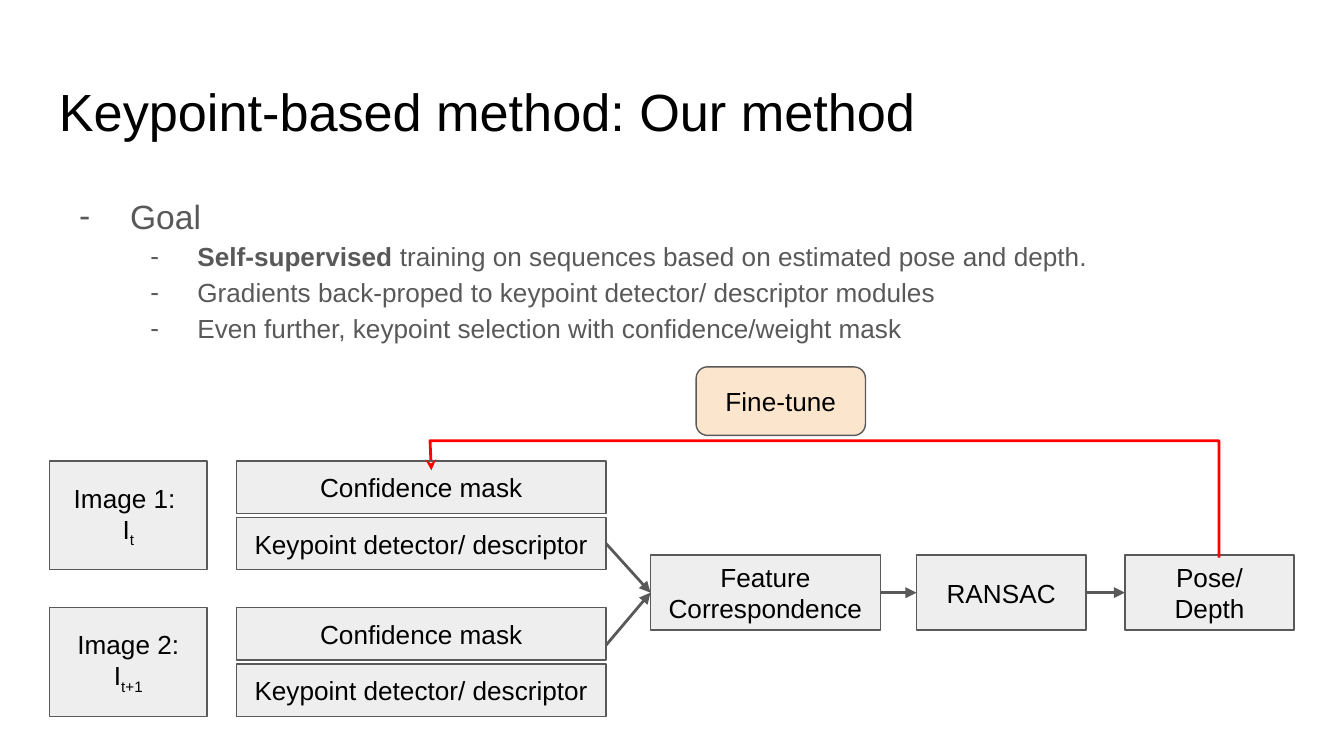
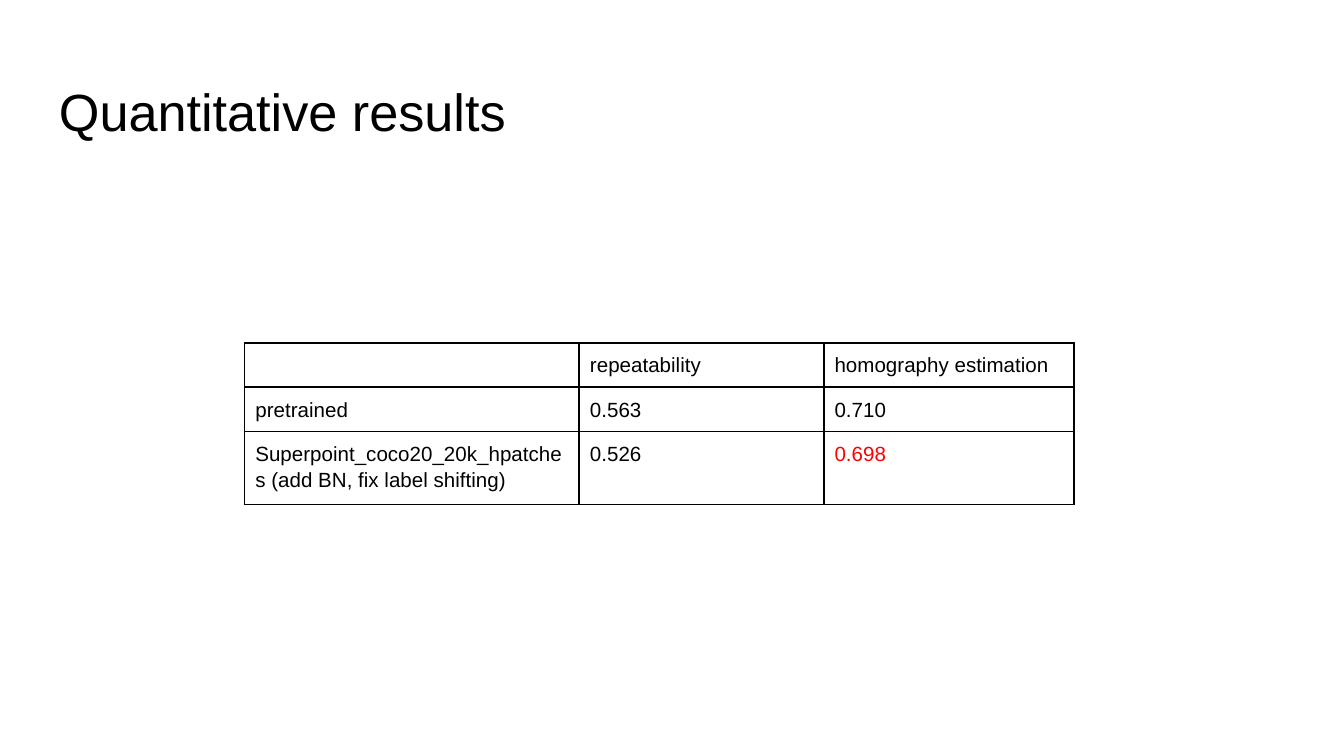
from lxml.etree import SubElement
from pptx import Presentation
from pptx.dml.color import RGBColor
from pptx.enum.shapes import MSO_CONNECTOR, MSO_SHAPE
from pptx.enum.text import MSO_ANCHOR, PP_ALIGN
from pptx.oxml.ns import qn
from pptx.util import Inches, Pt

FONT = "Arial"
BLACK = RGBColor(0x00, 0x00, 0x00)
GRAY = RGBColor(0x59, 0x59, 0x59)
PALE = RGBColor(0xEE, 0xEE, 0xEE)
PEACH = RGBColor(0xFC, 0xE5, 0xCD)
RED = RGBColor(0xFF, 0x00, 0x00)

WIDTH, HEIGHT = 10, 5.625
TOP, BOTTOM, LEFT, RIGHT = 0, 2, 1, 3  # table border order is separate

# A paragraph is plain text or a list of (text, style) spans.
METHOD_TITLE = "Keypoint-based method: Our method"
GOAL = [
    (0, "Goal"),
    (1, [("Self-supervised", "bold"),
         (" training on sequences based on estimated pose and depth.", "")]),
    (1, "Gradients back-proped to keypoint detector/ descriptor modules"),
    (1, "Even further, keypoint selection with confidence/weight mask"),
]
LEVELS = [  # size, indent, hanging
    (18, 0.5, 0.38),
    (14, 1.0, 0.35),
]
IMAGES = [
    ["Image 1: ", [("I", ""), ("t", "sub")]],
    [[("Image 2: I", ""), ("t+1", "sub")]],
]
MODULES = ["Confidence mask", "Keypoint detector/ descriptor"]
CHAIN = [  # text, left, width
    ("Feature Correspondence", 4.84, 1.71),
    ("RANSAC", 6.82, 1.26),
    ("Pose/ Depth", 8.37, 1.26),
]

RESULTS_TITLE = "Quantitative results"
RESULTS = [
    ["", "repeatability", "homography estimation"],
    ["pretrained", "0.563", "0.710"],
    ["Superpoint_coco20_20k_hpatches (add BN, fix label shifting)",
     "0.526", "0.698"],
]
HIGHLIGHT = (2, 2)
COLUMN_WIDTHS = [2.49, 1.82, 1.86]
ROW_HEIGHTS = [0.33, 0.33, 0.54]

IMAGE_LEFT, IMAGE_WIDTH, IMAGE_HEIGHT = 0.37, 1.17, 0.81
IMAGE_TOP, IMAGE_PITCH = 3.43, 1.09
MODULE_LEFT, MODULE_WIDTH, MODULE_HEIGHT = 1.76, 2.75, 0.39
MODULE_PITCH = IMAGE_HEIGHT - MODULE_HEIGHT
CHAIN_TOP, CHAIN_HEIGHT = 4.13, 0.56


def write(para, content, size=14, color=BLACK, align=None, spacing=None):
    spans = [(content, "")] if isinstance(content, str) else content
    para.alignment = align
    para.line_spacing = spacing
    for text, style in spans:
        if not text:
            para._p.get_or_add_endParaRPr().set("sz", str(size * 100))
            continue
        span = para.add_run()
        span.text = text
        font = span.font
        font.name, font.size, font.color.rgb = FONT, Pt(size), color
        if style == "bold":
            font.bold = True
        elif style == "sub":
            font._element.set("baseline", "-25000")


def set_margins(frame, across=0.1, down=0.1):
    frame.margin_left = frame.margin_right = Inches(across)
    frame.margin_top = frame.margin_bottom = Inches(down)


def paragraphs(frame, count):
    """Give a frame the wanted number of paragraphs and return them."""
    for _ in range(count - 1):
        frame.add_paragraph()
    return frame.paragraphs


def add_text_box(page, left, top, width, height):
    frame = page.shapes.add_textbox(
        Inches(left), Inches(top), Inches(width), Inches(height)).text_frame
    frame.word_wrap = True
    set_margins(frame)
    return frame


def add_page(deck, title):
    page = deck.slides.add_slide(deck.slide_layouts[6])
    frame = add_text_box(page, 0.34, 0.49, WIDTH - 2 * 0.34, 0.63)
    write(frame.paragraphs[0], title, size=28)
    return page


def add_bullet(para, indent, hanging):
    properties = para._p.get_or_add_pPr()
    properties.set("marL", str(Inches(indent)))
    properties.set("indent", str(-Inches(hanging)))
    color = SubElement(properties, qn("a:buClr"))
    SubElement(color, qn("a:srgbClr")).set("val", str(GRAY))
    SubElement(properties, qn("a:buFont")).set("typeface", FONT)
    SubElement(properties, qn("a:buChar")).set("char", "-")


def add_box(page, contents, left, top, width, height,
            kind=MSO_SHAPE.RECTANGLE, fill=PALE):
    box = page.shapes.add_shape(
        kind, Inches(left), Inches(top), Inches(width), Inches(height))
    box.shadow.inherit = False
    box.fill.solid()
    box.fill.fore_color.rgb = fill
    box.line.color.rgb = GRAY
    box.line.width = Pt(0.75)
    frame = box.text_frame
    frame.word_wrap = True
    frame.vertical_anchor = MSO_ANCHOR.MIDDLE
    set_margins(frame)
    for para, content in zip(paragraphs(frame, len(contents)), contents):
        write(para, content, align=PP_ALIGN.CENTER)
    return box


def style_arrow(shape, color, head):
    shape.line.color.rgb = color
    shape.line.width = Pt(1.5)
    SubElement(shape.line._get_or_add_ln(), qn("a:tailEnd")).set("type", head)


def add_arrow(page, target, source=None, start=(0, 0)):
    """Arrow into the left side of target, from a box's right side or a point."""
    arrow = page.shapes.add_connector(
        MSO_CONNECTOR.STRAIGHT, Inches(start[0]), Inches(start[1]), 0, 0)
    if source is not None:
        arrow.begin_connect(source, RIGHT)
    arrow.end_connect(target, LEFT)
    style_arrow(arrow, GRAY, "triangle")
    SubElement(arrow._element.spPr, qn("a:effectLst"))


def add_feedback(page, points):
    (x, y), *rest = [(Inches(x), Inches(y)) for x, y in points]
    builder = page.shapes.build_freeform(x, y)
    builder.add_line_segments(rest, close=False)
    loop = builder.convert_to_shape()
    loop.shadow.inherit = False
    loop.fill.background()
    style_arrow(loop, RED, "stealth")


def add_goal(page):
    frame = add_text_box(page, 0.37, 1.31, 9.29, 1.27)
    for para, (level, content) in zip(paragraphs(frame, len(GOAL)), GOAL):
        size, indent, hanging = LEVELS[level]
        para.level = level
        para.line_spacing = 1.15
        add_bullet(para, indent, hanging)
        write(para, content, size=size, color=GRAY, spacing=1.15)


def add_pipeline(page):
    modules = []
    for row, image in enumerate(IMAGES):
        top = IMAGE_TOP + row * IMAGE_PITCH
        add_box(page, image, IMAGE_LEFT, top, IMAGE_WIDTH, IMAGE_HEIGHT)
        for step, module in enumerate(MODULES):
            modules.append(add_box(
                page, [module], MODULE_LEFT, top + step * MODULE_PITCH,
                MODULE_WIDTH, MODULE_HEIGHT))
    chain = [add_box(page, [text], left, CHAIN_TOP, width, CHAIN_HEIGHT)
             for text, left, width in CHAIN]
    for source, target in zip(chain, chain[1:]):
        add_arrow(page, target, source)
    add_arrow(page, chain[0], modules[1])
    add_arrow(page, chain[0], start=(MODULE_LEFT + MODULE_WIDTH, 4.8))
    add_feedback(page, [(9.07, 4.15), (9.07, 3.28), (3.2, 3.28), (3.21, 3.5)])
    add_box(page, ["Fine-tune"], 5.18, 2.73, 1.26, 0.51,
            kind=MSO_SHAPE.ROUNDED_RECTANGLE, fill=PEACH)


def add_borders(cell):
    properties = cell._tc.get_or_add_tcPr()
    for position, side in enumerate(("lnL", "lnR", "lnT", "lnB")):
        line = properties.makeelement(qn(f"a:{side}"), {"w": str(Pt(1))})
        fill = SubElement(line, qn("a:solidFill"))
        SubElement(fill, qn("a:srgbClr")).set("val", str(BLACK))
        properties.insert(position, line)


def add_results(page):
    table = page.shapes.add_table(
        len(RESULTS), len(RESULTS[0]), Inches(1.82), Inches(2.55),
        Inches(sum(COLUMN_WIDTHS)), Inches(sum(ROW_HEIGHTS))).table
    table.first_row = table.horz_banding = False
    for column, width in zip(table.columns, COLUMN_WIDTHS):
        column.width = Inches(width)
    for row, height in zip(table.rows, ROW_HEIGHTS):
        row.height = Inches(height)
    for r, texts in enumerate(RESULTS):
        for c, text in enumerate(texts):
            cell = table.cell(r, c)
            cell.fill.background()
            set_margins(cell, 0.08, 0.06)
            add_borders(cell)
            write(cell.text_frame.paragraphs[0], text, size=11, spacing=1.15,
                  color=RED if (r, c) == HIGHLIGHT else BLACK)


def main():
    deck = Presentation()
    deck.slide_width, deck.slide_height = Inches(WIDTH), Inches(HEIGHT)
    method = add_page(deck, METHOD_TITLE)
    add_goal(method)
    add_pipeline(method)
    add_results(add_page(deck, RESULTS_TITLE))
    deck.save("out.pptx")


if __name__ == "__main__":
    main()
